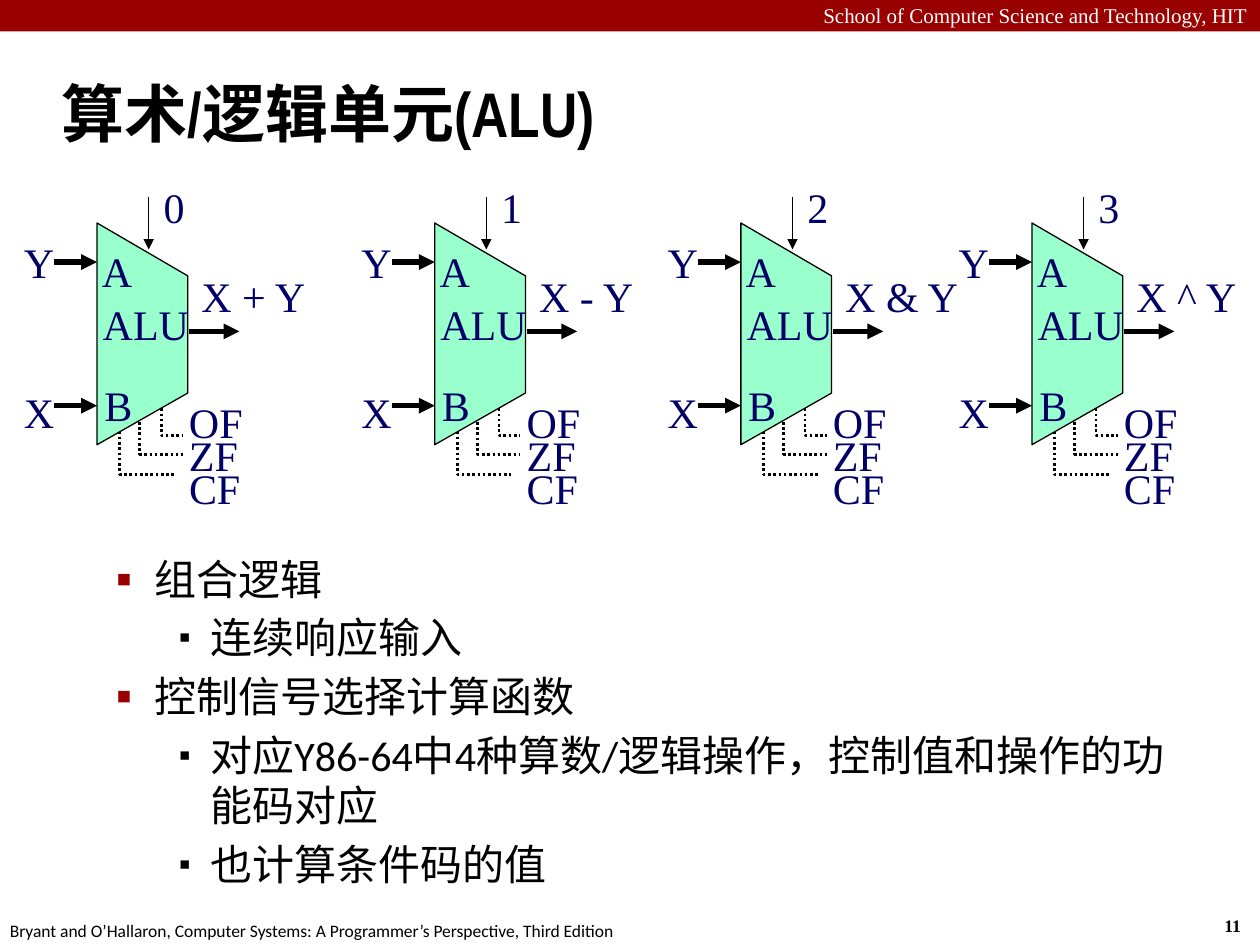
from lxml import etree
from pptx import Presentation
from pptx import util as u
from pptx.dml.color import RGBColor
from pptx.enum import dml, shapes, text
from pptx.oxml import ns

COLUMNS, ROWS = 100, 75
SERIF, SANS, TITLE = "Times New Roman", "Calibri", "Arial Narrow"
BLACK, WHITE, RED, NAVY, MINT = "000000", "FFFFFF", "990000", "000066", "99FFCC"


def color(value):
    return RGBColor.from_string(value)


def add_element(parent, tag, **attributes):
    return etree.SubElement(parent, ns.qn(tag), **attributes)


class SlideBuilder:
    def __init__(self, presentation):
        self.width = presentation.slide_width
        self.height = presentation.slide_height
        self.slide = presentation.slides.add_slide(presentation.slide_layouts[1])
        self.target = self.slide.shapes

    def x(self, columns):
        return u.Emu(round(self.width * columns / COLUMNS))

    def y(self, rows):
        return u.Emu(round(self.height * rows / ROWS))

    def box(self, left, top, width, height):
        return self.x(left), self.y(top), self.x(width), self.y(height)

    def start_group(self):
        self.target = self.slide.shapes.add_group_shape().shapes

    def style(self, paragraph, size, font, ink, bold=False):
        paragraph.font.size = u.Pt(size)
        paragraph.font.name = font
        paragraph.font.color.rgb = color(ink)
        paragraph.font.bold = bold

    def bar(self, *box, fill):
        shape = self.target.add_shape(shapes.MSO_SHAPE.RECTANGLE, *self.box(*box))
        shape.shadow.inherit = False
        shape.fill.solid()
        shape.fill.fore_color.rgb = color(fill)
        shape.line.fill.background()

    def label(self, words, *box, size=24, font=SERIF, ink=NAVY, bold=False,
              inset=1, wrap=False, align=text.PP_ALIGN.LEFT):
        frame = self.target.add_textbox(*self.box(*box)).text_frame
        frame.word_wrap = wrap
        frame.margin_left = frame.margin_right = self.x(inset)
        paragraph = frame.paragraphs[0]
        paragraph.text = words
        paragraph.alignment = align
        self.style(paragraph, size, font, ink, bold)

    def arrow(self, x1, y1, x2, y2, weight=3):
        line = self.target.add_connector(
            shapes.MSO_CONNECTOR.STRAIGHT,
            self.x(x1), self.y(y1), self.x(x2), self.y(y2))
        line.line.color.rgb = color(BLACK)
        line.line.width = u.Pt(weight)
        add_element(line.line._get_or_add_ln(), "a:tailEnd", type="triangle")
        add_element(line._element.spPr, "a:effectLst")

    def outline(self, points, weight, fill=None, dash=None):
        start, *rest = [(self.x(column), self.y(row)) for column, row in points]
        builder = self.target.build_freeform(*start)
        builder.add_line_segments(rest, close=fill is not None)
        shape = builder.convert_to_shape()
        shape.shadow.inherit = False
        shape.line.color.rgb = color(BLACK)
        shape.line.width = u.Pt(weight)
        if dash:
            shape.line.dash_style = dash
        if fill:
            shape.fill.solid()
            shape.fill.fore_color.rgb = color(fill)
        else:
            shape.fill.background()

    def place(self, shape, box):
        shape.left, shape.top, shape.width, shape.height = self.box(*box)
        shape.text_frame.auto_size = text.MSO_AUTO_SIZE.NONE
        return shape.text_frame

    def title(self, words, *box):
        frame = self.place(self.slide.shapes.title, box)
        frame.vertical_anchor = text.MSO_ANCHOR.MIDDLE
        paragraph = frame.paragraphs[0]
        paragraph.text = words
        paragraph.alignment = text.PP_ALIGN.LEFT
        self.indent(paragraph, 1.3, 1.3)
        self.style(paragraph, 36, TITLE, BLACK, bold=True)

    def indent(self, paragraph, left, hanging):
        properties = paragraph._p.get_or_add_pPr()
        properties.set("marL", str(self.x(left)))
        properties.set("indent", str(-self.x(hanging)))
        return properties

    def bullets(self, items, *box):
        frame = self.place(self.slide.placeholders[1], box)
        for index, (level, words) in enumerate(items):
            paragraph = frame.add_paragraph() if index else frame.paragraphs[0]
            paragraph.text = words
            paragraph.level = level
            paragraph.space_before = u.Pt(4.8)
            self.style(paragraph, 24, SANS, BLACK)
            left, hanging, ink, share = {
                1: (8.1, 3.1, RED, 110), 2: (12.5, 2.5, BLACK, 80)}[level]
            properties = self.indent(paragraph, left, hanging)
            default_font = properties.find(ns.qn("a:defRPr"))
            bullet_color = add_element(properties, "a:buClr")
            add_element(bullet_color, "a:srgbClr", val=ink)
            add_element(properties, "a:buSzPct", val=str(share * 1000))
            add_element(properties, "a:buChar", char="▪")
            if default_font is not None:
                properties.append(default_font)

    def alu(self, left, control, result, result_width):
        self.start_group()
        for column, row, length in ((5.1, 29.9, 1.7), (3.4, 31.4, 3.4), (1.8, 33, 4.3)):
            corner = left + column, row + 4.65
            self.outline([(left + column, row), corner, (corner[0] + length, corner[1])],
                         1.5, dash=dml.MSO_LINE.ROUND_DOT)
        for index, (flag, width) in enumerate((("OF", 5.7), ("ZF", 5.3), ("CF", 5.5))):
            self.label(flag, left + 6.8, 31 + 2.6 * index, width, 4.6, inset=0.5)
        self.outline([(left, 17.7), (left + 7.2, 21.9), (left + 7.2, 31.2), (left, 35.3)],
                     0.75, fill=MINT)
        self.arrow(left + 7.3, 26.3, left + 11.3, 26.3)
        self.arrow(left + 4.1, 15.6, left + 4.1, 19.8, weight=0.75)
        for row in (20.8, 32.2):
            self.arrow(left - 3.4, row, left, row)
        self.label("ALU", left - 1.5, 23.2, 8.8, 5, inset=0, wrap=True,
                   align=text.PP_ALIGN.RIGHT)
        for words, column, row, width in (
                ("Y", -6.8, 18.3, 4.5), ("X", -6.8, 30.2, 4.5),
                ("A", -0.6, 19, 4.5), ("B", -0.4, 29.6, 4.3),
                (control, 4.3, 13.9, 3.7), (result, 7.3, 21, result_width)):
            self.label(words, left + column, row, width, 5)


def main():
    presentation = Presentation()
    presentation.slide_width, presentation.slide_height = u.Inches(10), u.Inches(7.5)
    builder = SlideBuilder(presentation)
    builder.bar(0, 0, 100, 2.5, fill=RED)
    builder.label("School of Computer Science and Technology, HIT", 0, -0.3, 100, 3,
                  size=12, ink=WHITE, wrap=True, align=text.PP_ALIGN.RIGHT)
    builder.label("11", 96.2, 72.1, 3.7, 2.7, size=10, ink=BLACK, bold=True)
    builder.label("Bryant and O’Hallaron, Computer Systems: A Programmer’s Perspective, "
                  "Third Edition", -0.2, 72.5, 50.8, 2.7, size=10, font=SANS, ink=BLACK)
    builder.title("算术/逻辑单元(ALU)", 3.9, 4.8, 96.1, 8.3)
    builder.bullets([
        (1, "组合逻辑"),
        (2, "连续响应输入"),
        (1, "控制信号选择计算函数"),
        (2, "对应Y86-64中4种算数/逻辑操作，控制值和操作的功能码对应"),
        (2, "也计算条件码的值"),
    ], 3.2, 43.4, 90.8, 27.1)
    for unit in ((7.7, "0", "X + Y", 10.3), (34.5, "1", "X - Y", 9.6),
                 (58.8, "2", "X & Y", 11.3), (81.9, "3", "X ^ Y", 10.3)):
        builder.alu(*unit)
    presentation.save("out.pptx")


if __name__ == "__main__":
    main()
